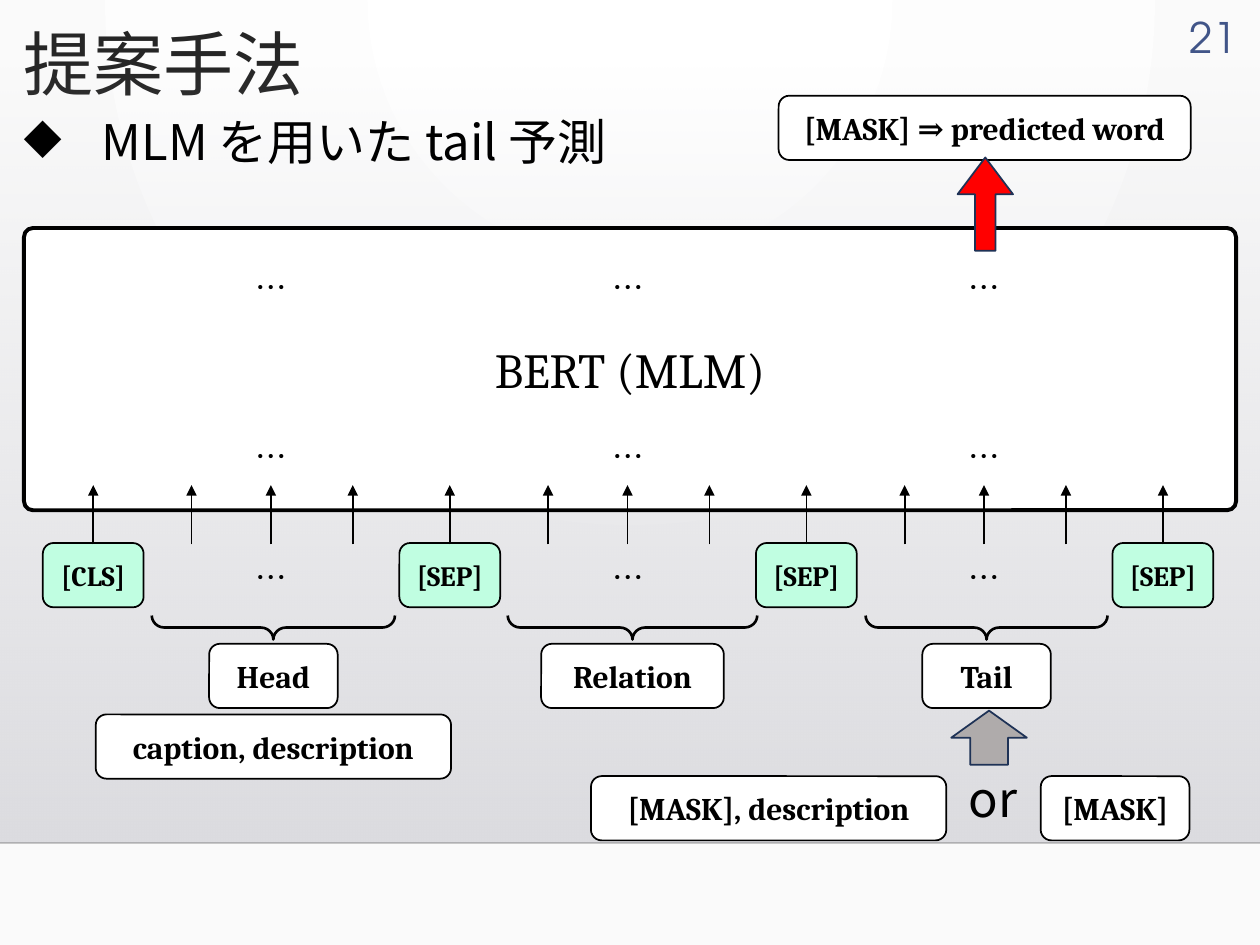
from lxml import etree
from pptx import Presentation
from pptx.dml.color import RGBColor
from pptx.enum.shapes import MSO_CONNECTOR as Connector, MSO_SHAPE as Shape
from pptx.enum.text import MSO_ANCHOR as Anchor, PP_ALIGN as Align
from pptx.oxml import parse_xml
from pptx.oxml.ns import nsdecls, qn
from pptx.util import Inches, Pt

BLACK = RGBColor(0x00, 0x00, 0x00)
WHITE = RGBColor(0xFF, 0xFF, 0xFF)
TITLE_GREY = RGBColor(0x26, 0x26, 0x26)
NUMBER_BLUE = RGBColor(0x41, 0x55, 0x88)
TOKEN_GREEN = RGBColor(0xC0, 0xFE, 0xE1)
RED = RGBColor(0xFF, 0x00, 0x00)
ARROW_GREY = RGBColor(0xAF, 0xAB, 0xAB)
ARROW_EDGE = RGBColor(0x1E, 0x32, 0x56)
BACKGROUND_EDGE = RGBColor(0xFA, 0xFA, 0xFA)
PANEL_TOP = RGBColor(0xDC, 0xDC, 0xE0)
PANEL_BOTTOM = RGBColor(0xDE, 0xDE, 0xE2)

SERIF = "Cambria"
SANS = "Noto Sans CJK JP"
NUMBER_FONT = "TeX Gyre Adventor"

SEGMENT = 2.83  # distance from one special token to the next
TOKEN_LEFT, TOKEN_WIDTH = 0.34, 0.8
BOX_HEIGHT = 0.51


def place(shape, left, top, width, height):
    shape.left, shape.top = Inches(left), Inches(top)
    shape.width, shape.height = Inches(width), Inches(height)


def write(shape, text, size, font, color=BLACK, bold=False, align=Align.LEFT,
          anchor=Anchor.TOP):
    frame = shape.text_frame
    frame.text = text
    frame.word_wrap = True
    frame.vertical_anchor = anchor
    paragraph = frame.paragraphs[0]
    paragraph.alignment = align
    for run in paragraph.runs:
        run.font.size = Pt(size)
        run.font.name = font
        run.font.bold = bold
        run.font.color.rgb = color
        east_asian = etree.SubElement(run.font._element, qn("a:ea"))
        east_asian.set("typeface", font)
    return paragraph


def add_text(slide, box, text, size, font=SANS, **style):
    shape = slide.shapes.add_textbox(*map(Inches, box))
    return shape, write(shape, text, size, font, **style)


def add_preset(slide, kind, box, fill=None, line=BLACK, weight=1, adjustments=()):
    shape = slide.shapes.add_shape(kind, *map(Inches, box))
    shape.shadow.inherit = False
    if fill is None:
        shape.fill.background()
    else:
        shape.fill.solid()
        shape.fill.fore_color.rgb = fill
    shape.line.color.rgb = line
    shape.line.width = Pt(weight)
    for index, value in enumerate(adjustments):
        shape.adjustments[index] = value
    return shape


def add_label(slide, text, left, top, width, fill=WHITE, size=18):
    shape = add_preset(slide, Shape.ROUNDED_RECTANGLE,
                       (left, top, width, BOX_HEIGHT), fill)
    write(shape, text, size, SERIF, bold=True, align=Align.CENTER,
          anchor=Anchor.MIDDLE)


def add_line(slide, start, end, color=BLACK):
    line = slide.shapes.add_connector(Connector.STRAIGHT,
                                      *map(Inches, start + end))
    line.line.color.rgb = color
    line.line.width = Pt(1)
    etree.SubElement(line._element.spPr, qn("a:effectLst"))
    return line


def add_input_arrow(slide, x):
    arrow = add_line(slide, (x, 4.32), (x, 3.85))
    head = etree.SubElement(arrow.line._get_or_add_ln(), qn("a:tailEnd"))
    head.set("type", "triangle")


def add_brace(slide, center, length):
    thickness, middle = 0.19, 4.98
    brace = add_preset(slide, Shape.LEFT_BRACE,
                       (center - thickness / 2, middle - length / 2,
                        thickness, length),
                       weight=1.5, adjustments=(0.527, 0.5))
    brace.rotation = 270


def set_alpha(color_element, percent):
    alpha = etree.SubElement(color_element, qn("a:alpha"))
    alpha.set("val", str(percent * 1000))


def set_stops(fill, colors):
    for stop, color in zip(fill.gradient_stops, colors):
        stop.color.rgb = color


def add_backdrop(slide):
    # Radial page background
    fill = slide.background.fill
    fill.gradient()
    set_stops(fill, (WHITE, BACKGROUND_EDGE))
    gradient = slide._element.find(".//" + qn("a:gradFill"))
    radial = parse_xml(
        f'<a:path {nsdecls("a")} path="circle">'
        '<a:fillToRect l="43000" t="0" r="43000" b="100000"/></a:path>')
    gradient.replace(gradient.find(qn("a:lin")), radial)

    # Panel fading in towards the bottom
    panel = add_preset(slide, Shape.RECTANGLE, (0, 0.51, 10, 6.18))
    panel.line.fill.background()
    panel.fill.gradient()
    set_stops(panel.fill, (PANEL_TOP, PANEL_BOTTOM))
    panel_gradient = panel._element.spPr.find(qn("a:gradFill"))
    panel_gradient.find(qn("a:lin")).set("ang", "5400000")
    set_alpha(panel_gradient.find(".//" + qn("a:srgbClr")), 0)

    # Faint line under the panel
    rule = add_line(slide, (0, 6.69), (10, 6.69))
    set_alpha(rule._element.spPr.find(".//" + qn("a:srgbClr")), 20)


def add_heading(slide):
    title = slide.shapes.title
    place(title, 0.09, 0.08, 2.63, 0.83)
    write(title, "提案手法", 40, SANS, TITLE_GREY, anchor=Anchor.MIDDLE)
    add_text(slide, (9.19, 0.08, 0.72, 0.42), "21", 24, NUMBER_FONT,
             color=NUMBER_BLUE, align=Align.RIGHT, anchor=Anchor.MIDDLE)

    shape, paragraph = add_text(slide, (0.09, 0.83, 6.82, 0.57),
                                "MLM を用いた tail 予測", 28,
                                anchor=Anchor.MIDDLE)
    shape.text_frame.margin_top = shape.text_frame.margin_bottom = 0
    properties = paragraph._p.get_or_add_pPr()
    properties.set("marL", str(Inches(0.62)))
    properties.set("indent", str(-Inches(0.62)))
    bullet = etree.SubElement(properties, qn("a:buChar"))
    bullet.set("char", "◆")


def add_model(slide):
    model = add_preset(slide, Shape.ROUNDED_RECTANGLE, (0.19, 1.81, 9.62, 2.24),
                       WHITE, weight=2.25, adjustments=(0.032,))
    write(model, "BERT (MLM)", 28, SERIF, align=Align.CENTER,
          anchor=Anchor.MIDDLE)

    # Special tokens, each feeding the model
    for index, token in enumerate(("[CLS]", "[SEP]", "[SEP]", "[SEP]")):
        left = TOKEN_LEFT + index * SEGMENT
        add_label(slide, token, left, 4.31, TOKEN_WIDTH, TOKEN_GREEN, 16)
        add_input_arrow(slide, left + TOKEN_WIDTH / 2)

    # Segments between the tokens: name, centre, label width, brace length
    segments = (("Head", 2.17, 1.02, 1.93),
                ("Relation", 5.02, 1.45, 1.98),
                ("Tail", 7.83, 1.02, 1.92))
    for index, (name, center, width, length) in enumerate(segments):
        offset = index * SEGMENT
        for x in (1.52, 2.15, 2.8):
            add_input_arrow(slide, x + offset)
        for top in (2.08, 3.42, 4.38):
            add_text(slide, (1.93 + offset, top, 0.43, 0.44), "…", 18)
        add_brace(slide, center, length)
        add_label(slide, name, center - width / 2, 5.11, width)


def add_annotations(slide):
    add_label(slide, "caption, description", 0.76, 5.67, 2.82)
    add_label(slide, "[MASK], description", 4.69, 6.16, 2.82)
    add_label(slide, "[MASK]", 8.26, 6.16, 1.18)
    add_label(slide, "[MASK] ⇒ predicted word", 6.18, 0.76, 3.27)
    add_preset(slide, Shape.UP_ARROW, (7.6, 1.25, 0.44, 0.74), RED, ARROW_EDGE,
               adjustments=(0.369, 0.664))
    add_preset(slide, Shape.UP_ARROW, (7.55, 5.64, 0.6, 0.43), ARROW_GREY,
               ARROW_EDGE)
    add_text(slide, (7.59, 6.05, 0.6, 0.62), "or", 28)


def main():
    presentation = Presentation()
    presentation.slide_width, presentation.slide_height = Inches(10), Inches(7.5)
    slide = presentation.slides.add_slide(presentation.slide_layouts[5])
    add_backdrop(slide)
    add_heading(slide)
    add_model(slide)
    add_annotations(slide)
    presentation.save("out.pptx")


if __name__ == "__main__":
    main()
